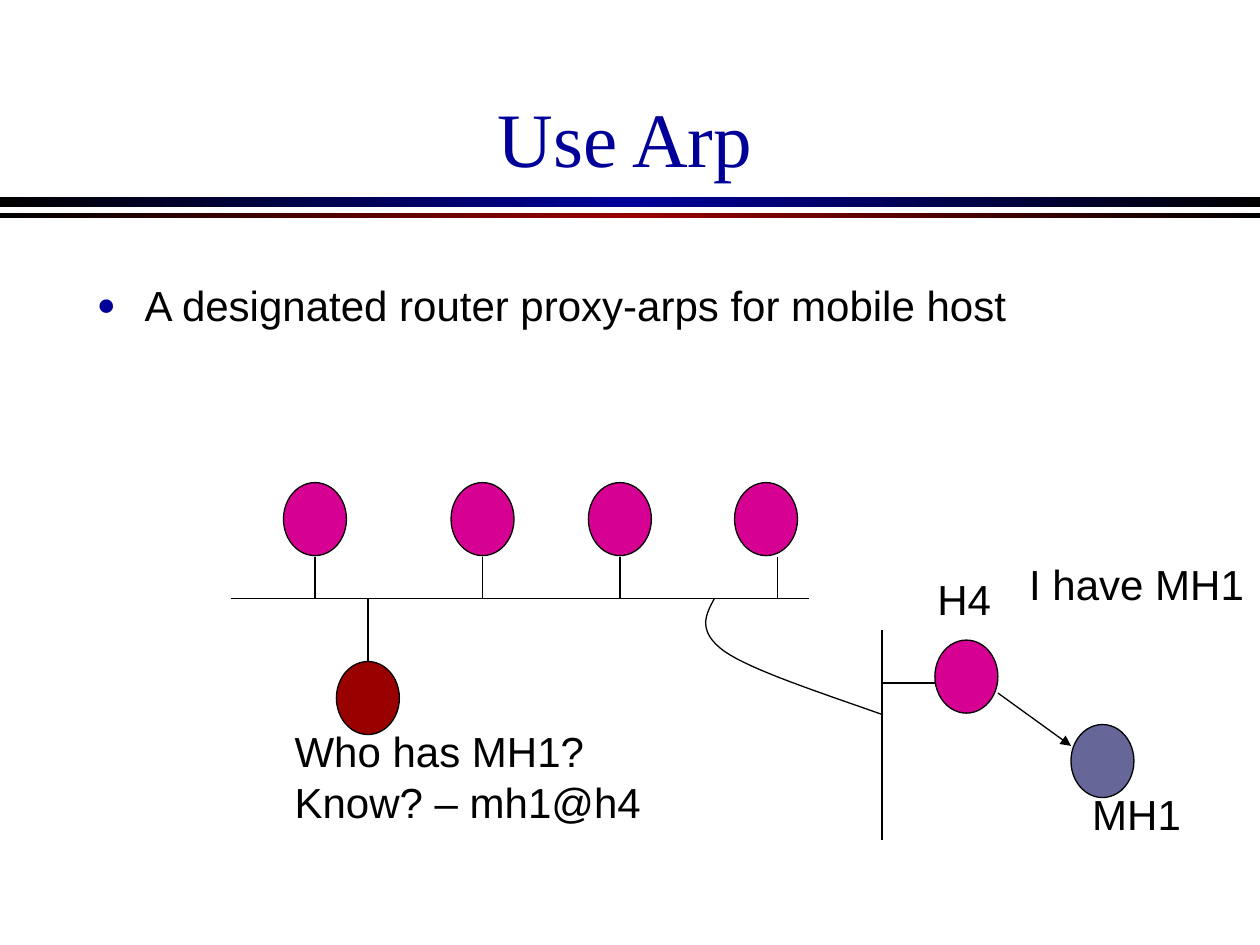
import copy
import pptx
import pptx.util
import pptx.dml.color
import pptx.enum.shapes
import pptx.enum.text
import pptx.oxml.ns
from lxml import etree

Inches = pptx.util.Inches
Pt = pptx.util.Pt
qn = pptx.oxml.ns.qn
SHAPE = pptx.enum.shapes.MSO_SHAPE
ALIGN = pptx.enum.text.PP_ALIGN
ANCHOR = pptx.enum.text.MSO_ANCHOR
FIT = pptx.enum.text.MSO_AUTO_SIZE


class Theme:
    black = "000000"
    blue = "000099"
    red = "990000"
    pink = "D60093"
    slate = "666699"
    head = "Times New Roman"
    body = "Arial"
    big = 44
    small = 24
    line = 0.75


def color(code):
    return pptx.dml.color.RGBColor.from_string(code)


def outline(shape):
    shape.line.color.rgb = color(Theme.black)
    shape.line.width = Pt(Theme.line)


def band(slide, top, height, middle):
    """Full-width bar fading from black to a colour and back."""
    bar = slide.shapes.add_shape(SHAPE.RECTANGLE, 0, Inches(top), Inches(10), Inches(height))
    bar.shadow.inherit = False
    bar.line.fill.background()
    bar.fill.gradient()
    bar.fill.gradient_angle = 180
    stops = bar._element.spPr.find(".//" + qn("a:gsLst"))
    stops.insert(1, copy.deepcopy(stops[0]))
    codes = (Theme.black, middle, Theme.black)
    for stop, code, place in zip(bar.fill.gradient_stops, codes, (0, 0.5, 1)):
        stop.color.rgb = color(code)
        stop.position = place


def host(slide, left, top, fill):
    node = slide.shapes.add_shape(SHAPE.OVAL, Inches(left), Inches(top), Inches(0.5), Inches(0.58))
    node.shadow.inherit = False
    node.fill.solid()
    node.fill.fore_color.rgb = color(fill)
    outline(node)


def wire(slide, x1, y1, x2, y2, arrow=False):
    link = slide.shapes.add_connector(
        pptx.enum.shapes.MSO_CONNECTOR.STRAIGHT, Inches(x1), Inches(y1), Inches(x2), Inches(y2))
    outline(link)
    if arrow:
        etree.SubElement(link.line._get_or_add_ln(), qn("a:tailEnd"), type="triangle")
    etree.SubElement(link._element.spPr, qn("a:effectLst"))


def curve(slide, start, parts):
    """Smooth open line through cubic Bezier parts."""
    points = []
    first = start
    for a, b, end in parts:
        for step in range(1, 17):
            t = step / 16
            u = 1 - t
            points.append(tuple(
                Inches(u**3 * p + 3 * u * u * t * q + 3 * u * t * t * r + t**3 * s)
                for p, q, r, s in zip(first, a, b, end)))
        first = end
    form = slide.shapes.build_freeform(Inches(start[0]), Inches(start[1]))
    form.add_line_segments(points, close=False)
    path = form.convert_to_shape()
    path.shadow.inherit = False
    path.fill.background()
    outline(path)


def text(slide, words, left, top, width, height, wrap=False,
         face=Theme.body, size=Theme.small, tint=Theme.black):
    box = slide.shapes.add_textbox(Inches(left), Inches(top), Inches(width), Inches(height))
    frame = box.text_frame
    frame.text = words
    frame.word_wrap = wrap
    frame.auto_size = FIT.NONE if wrap else FIT.SHAPE_TO_FIT_TEXT
    for para in frame.paragraphs:
        for run in para.runs:
            run.font.name = face
            run.font.size = Pt(size)
            run.font.color.rgb = color(tint)
    return frame


def bullet(para):
    props = para._p.get_or_add_pPr()
    props.set("marL", str(Inches(0.38)))
    props.set("indent", str(-Inches(0.38)))
    tint = etree.SubElement(props, qn("a:buClr"))
    etree.SubElement(tint, qn("a:srgbClr"), val=Theme.blue)
    etree.SubElement(props, qn("a:buSzPct"), val="75000")
    etree.SubElement(props, qn("a:buFont"), typeface=Theme.body)
    etree.SubElement(props, qn("a:buChar"), char="●")


def main():
    deck = pptx.Presentation()
    deck.slide_width = Inches(10)
    deck.slide_height = Inches(7.5)
    slide = deck.slides.add_slide(deck.slide_layouts[6])

    # Title and bands
    band(slide, 1.56, 0.08, Theme.blue)
    band(slide, 1.69, 0.04, Theme.red)
    title = text(slide, "Use Arp", 0.67, 0.25, 8.58, 1.25, True,
                 Theme.head, Theme.big, Theme.blue)
    title.vertical_anchor = ANCHOR.BOTTOM
    title.paragraphs[0].alignment = ALIGN.CENTER

    # Main point
    point = text(slide, "A designated router proxy-arps for mobile host",
                 0.67, 2.17, 8.58, 4.5, True)
    bullet(point.paragraphs[0])

    # Home network: bus, hosts above it, asking host below
    bus = 4.75
    wire(slide, 1.83, bus, 6.42, bus)
    for left, drop in ((2.25, 2.5), (3.58, 3.83), (4.67, 4.92), (5.83, 6.17)):
        host(slide, left, 3.83, Theme.pink)
        wire(slide, drop, bus, drop, 4.42)
    host(slide, 2.67, 5.25, Theme.red)
    wire(slide, 2.92, bus, 2.92, 5.25)

    # Remote network: router and mobile host
    wire(slide, 7, 5, 7, 6.67)
    host(slide, 7.42, 5.08, Theme.pink)
    host(slide, 8.5, 5.75, Theme.slate)
    wire(slide, 7, 5.42, 7.42, 5.42)
    wire(slide, 7.92, 5.5, 8.5, 5.92, arrow=True)

    # Link between the networks
    curve(slide, (5.67, bus), (
        ((5.6, 4.88), (5.53, 5.01), (5.75, 5.17)),
        ((5.97, 5.32), (6.49, 5.49), (7, 5.67))))

    # Labels, each box a little wider than its longest line
    text(slide, "Who has MH1?\nKnow? – mh1@h4", 2.24, 5.71, 3, 0.9)
    text(slide, "MH1", 8.57, 6.21, 0.96, 0.5)
    text(slide, "H4", 7.34, 4.5, 0.68, 0.5)
    text(slide, "I have MH1", 8.07, 4.38, 1.93, 0.5)

    deck.save("out.pptx")


if __name__ == "__main__":
    main()
